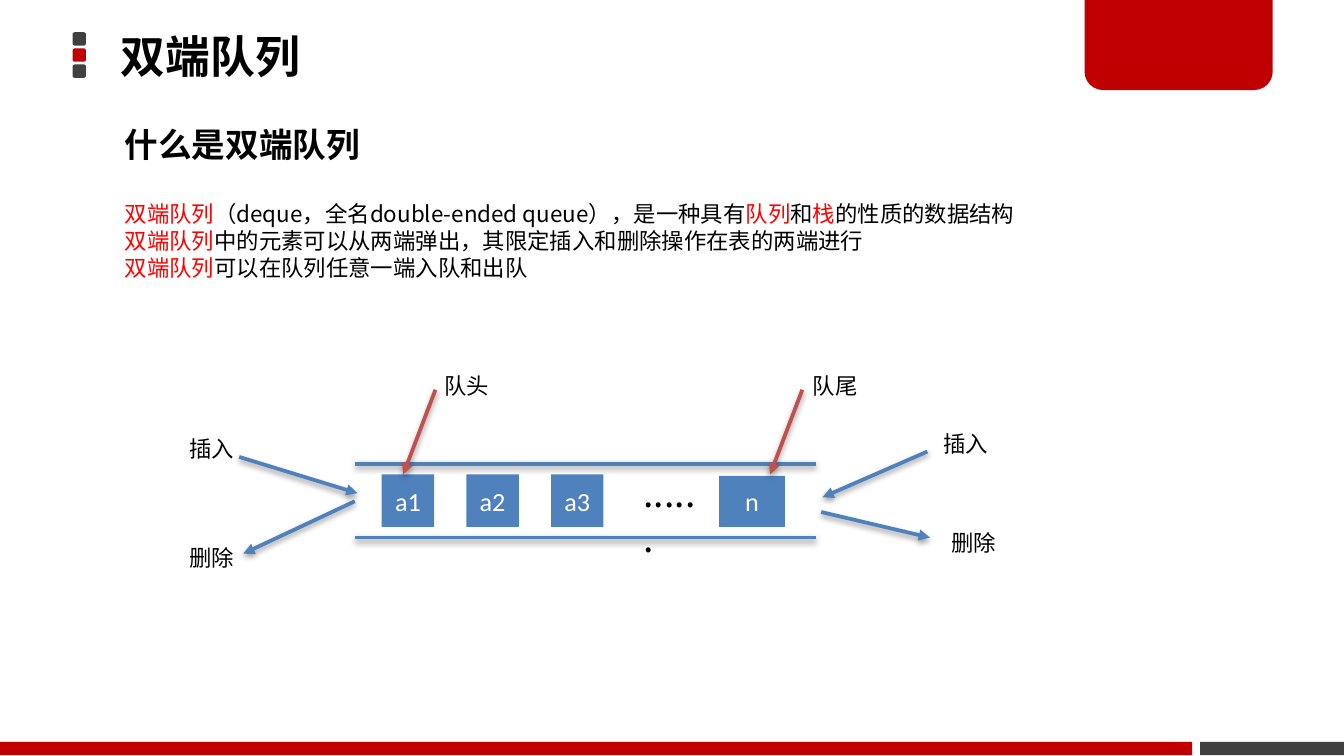
import pptx
import pptx.dml.color
import pptx.enum.shapes
import pptx.enum.text
import pptx.oxml
import pptx.oxml.ns
import pptx.util

Inches = pptx.util.Inches
SHAPES = pptx.enum.shapes.MSO_SHAPE
ANCHOR = pptx.enum.text.MSO_ANCHOR
ALIGN = pptx.enum.text.PP_ALIGN
CHINESE_FONT = "Noto Sans CJK SC"
BLACK, WHITE, RED = "000000", "FFFFFF", "FF0000"
CRIMSON, GRAY, BLUE, BRICK = "C00000", "404040", "4F81BD", "C0504D"


def color(code):
    return pptx.dml.color.RGBColor.from_string(code)


def add_xml(parent, tag, **attributes):
    child = pptx.oxml.parse_xml(f"<a:{tag} {pptx.oxml.ns.nsdecls('a')}/>")
    for key, value in attributes.items():
        child.set(key, value)
    parent.append(child)


def style_paragraph(para, size, font=CHINESE_FONT, code=BLACK, bold=False):
    para.font.size = pptx.util.Pt(size)
    para.font.name = font
    para.font.bold = bold
    para.font.color.rgb = color(code)
    defaults = para._p.pPr.find(pptx.oxml.ns.qn("a:defRPr"))
    add_xml(defaults, "ea", typeface=font)


def add_block(page, kind, left, top, width, height, code, adjustments=()):
    block = page.shapes.add_shape(
        kind, Inches(left), Inches(top), Inches(width), Inches(height))
    block.shadow.inherit = False
    block.fill.solid()
    block.fill.fore_color.rgb = color(code)
    block.line.fill.background()
    for index, value in enumerate(adjustments):
        block.adjustments[index] = value
    return block


def add_text(page, left, top, width, height, lines, size, bold=False, wrap=True):
    box = page.shapes.add_textbox(
        Inches(left), Inches(top), Inches(width), Inches(height))
    frame = box.text_frame
    frame.word_wrap = wrap
    for index, spans in enumerate(lines):
        para = frame.add_paragraph() if index else frame.paragraphs[0]
        style_paragraph(para, size, bold=bold)
        for text, code in spans:
            span = para.add_run()
            span.text = text
            span.font.color.rgb = color(code)
    return frame


def add_label(page, left, top, text):
    add_text(page, left, top, 0.54, 0.3, [[(text, BLACK)]], 12, wrap=False)


def add_line(page, start, end, code=BLUE, arrow=True):
    line = page.shapes.add_connector(
        pptx.enum.shapes.MSO_CONNECTOR.STRAIGHT,
        *(Inches(value) for value in start + end))
    line.line.color.rgb = color(code)
    line.line.width = pptx.util.Pt(2)
    if arrow:
        add_xml(line.line._get_or_add_ln(), "tailEnd", type="triangle")


def add_cell(page, left, top, width, height, text):
    cell = add_block(page, SHAPES.RECTANGLE, left, top, width, height, BLUE)
    cell.text_frame.vertical_anchor = ANCHOR.MIDDLE
    para = cell.text_frame.paragraphs[0]
    para.alignment = ALIGN.CENTER
    style_paragraph(para, 14, "Calibri", WHITE)
    para.add_run().text = text


def add_decoration(page):
    for index, code in enumerate((GRAY, CRIMSON, GRAY)):
        add_block(page, SHAPES.ROUNDED_RECTANGLE, 0.54, 0.24 + 0.12 * index,
                  0.1, 0.1, code, (0.167,))
    add_block(page, SHAPES.RECTANGLE, 8.93, 5.52, 1.07, 0.1, GRAY)
    add_block(page, SHAPES.ROUND_2_SAME_RECTANGLE, 8.07, -0.02, 1.4, 0.69,
              CRIMSON, (0, 0.2))
    add_block(page, SHAPES.RECTANGLE, 0, 5.52, 8.87, 0.1, CRIMSON)


def add_explanation(page):
    title = add_text(page, 0.83, -0.01, 5.89, 0.89,
                     [[("双端队列", BLACK)]], 24, bold=True)
    title.vertical_anchor = ANCHOR.MIDDLE
    title.margin_left = title.margin_right = Inches(0.07)
    title.margin_top = title.margin_bottom = Inches(0.04)
    title.paragraphs[0].line_spacing = 0.9
    add_text(page, 0.83, 0.87, 1.97, 0.4,
             [[("什么是双端队列", BLACK)]], 18, bold=True, wrap=False)
    term = ("双端队列", RED)
    add_text(page, 0.83, 1.44, 6.95, 0.71, [
        [term, ("（deque，全名double-ended queue），是一种具有", BLACK),
         ("队列", RED), ("和", BLACK), ("栈", RED),
         ("的性质的数据结构", BLACK)],
        [term, ("中的元素可以从两端弹出，其限定插入和删除操作在表的两端进行", BLACK)],
        [term, ("可以在队列任意一端入队和出队", BLACK)],
    ], 12)


def add_queue(page):
    for level in (3.45, 4):
        add_line(page, (2.64, level), (6.07, level), arrow=False)
    for index, text in enumerate(("a1", "a2", "a3")):
        add_cell(page, 2.84 + 0.63 * index, 3.53, 0.39, 0.39, text)
    add_cell(page, 5.35, 3.54, 0.49, 0.38, "n")
    add_text(page, 4.69, 3.45, 0.61, 0.44, [[("......", BLACK)]], 20)

    for tip, left, text in ((3, 3.21, "队头"), (5.73, 5.95, "队尾")):
        add_line(page, (tip + 0.24, 2.9), (tip, 3.53), BRICK)
        add_label(page, left, 2.72, text)

    operations = (
        ((6.9, 3.36), (6.12, 3.7), (6.92, 3.15), "插入"),
        ((2.64, 3.73), (1.81, 4.12), (1.31, 4), "删除"),
        ((6.11, 3.81), (6.92, 4), (6.98, 3.89), "删除"),
        ((1.78, 3.4), (2.66, 3.67), (1.31, 3.19), "插入"),
    )
    for start, end, corner, text in operations:
        add_line(page, start, end)
        add_label(page, *corner, text)


def main():
    deck = pptx.Presentation()
    deck.slide_width = Inches(10)
    deck.slide_height = deck.slide_width * 9 // 16
    page = deck.slides.add_slide(deck.slide_layouts[6])
    add_decoration(page)
    add_explanation(page)
    add_queue(page)
    deck.save("out.pptx")


if __name__ == "__main__":
    main()
